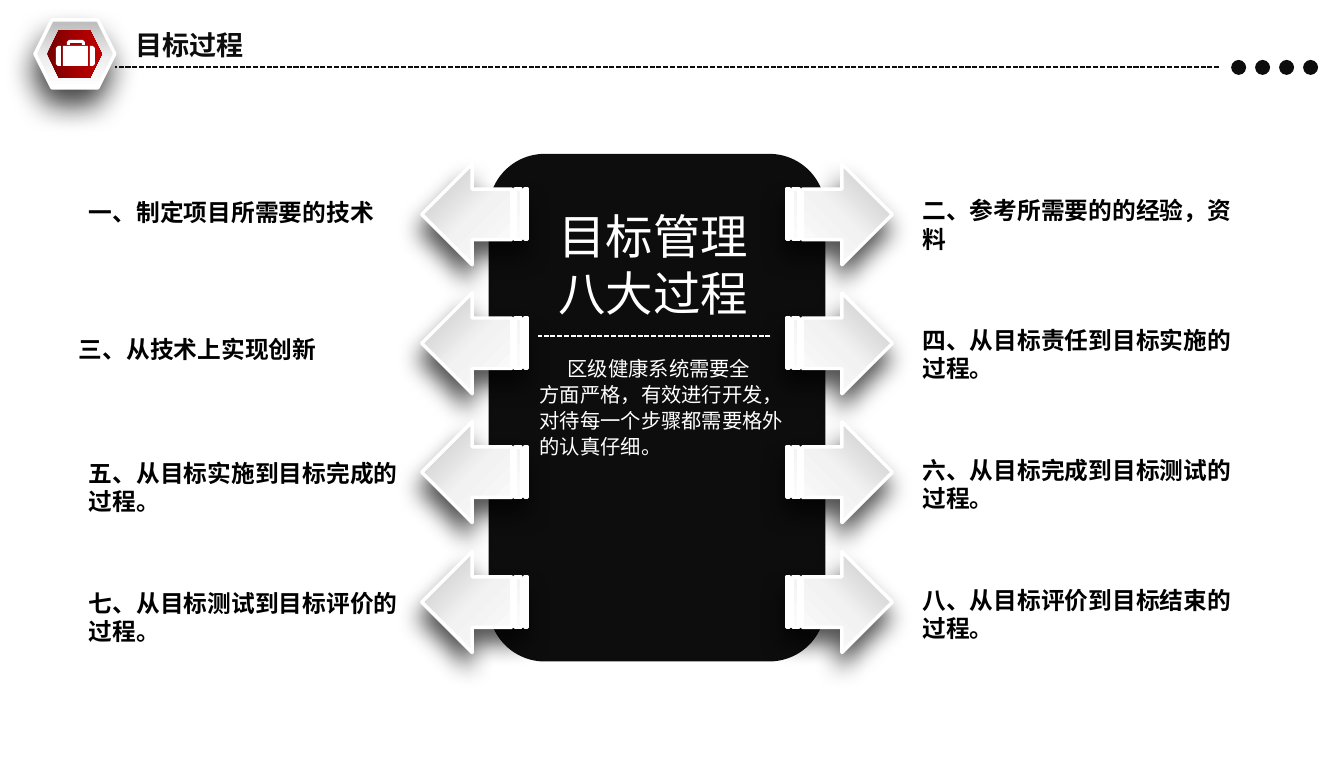
from pptx import Presentation
from pptx.dml.color import RGBColor
from pptx.enum.dml import MSO_LINE
from pptx.enum.shapes import MSO_CONNECTOR, MSO_SHAPE
from pptx.enum.text import MSO_ANCHOR, MSO_AUTO_SIZE, PP_ALIGN
from pptx.oxml import parse_xml
from pptx.oxml.ns import nsdecls, qn
from pptx.util import Cm, Pt
from lxml import etree

STRAIGHT = MSO_CONNECTOR.STRAIGHT
DASH = MSO_LINE.SQUARE_DOT
ARROW = MSO_SHAPE.STRIPED_RIGHT_ARROW
HEXAGON = MSO_SHAPE.HEXAGON
OVAL = MSO_SHAPE.OVAL
ROUNDED = MSO_SHAPE.ROUNDED_RECTANGLE
TOP = MSO_ANCHOR.TOP
LEFT = PP_ALIGN.LEFT
NO_FIT = MSO_AUTO_SIZE.NONE

EMU_PER_PX = 7495
CJK = "Noto Sans CJK SC"
LATIN = "Karla"
COLORS = {"ink": "0D0D0D", "black": "000000", "white": "FFFFFF"}
ARROW_STOPS = [(0, "BFBFBF"), (50, "F2F2F2"), (100, "FFFFFF")]
FRAME_STOPS = [(5, "BFBFBF"), (57, "EFEFEF"), (100, "FFFFFF")]
BADGE_STOPS = [(0, "720000"), (50, "A20000"), (100, "C00000")]

STEPS = [
    ("一、制定项目所需要的技术", 78, 192),
    ("二、参考所需要的的经验，资料", 912, 190),
    ("三、从技术上实现创新", 68, 329),
    ("四、从目标责任到目标实施的过程。", 912, 320),
    ("五、从目标实施到目标完成的过程。", 78, 453),
    ("六、从目标完成到目标测试的过程。", 912, 450),
    ("七、从目标测试到目标评价的过程。", 78, 583),
    ("八、从目标评价到目标结束的过程。", 912, 580),
]
SUMMARY = ["区级健康系统需要全", "方面严格，有效进行开发，",
           "对待每一个步骤都需要格外", "的认真仔细。"]

HANDLE = [(70, 43), (82, 43), (82, 45), (85, 45), (85, 42),
          (83, 40), (69, 40), (67, 42), (67, 45), (70, 45)]
CASE_END = [(56, 48), (58, 46), (61, 46), (61, 66), (58, 66), (56, 64)]
CASE_BODY = [(63, 46), (88, 46), (88, 66), (63, 66)]


def px(length):
    return length * EMU_PER_PX


def rgb(name):
    return RGBColor.from_string(COLORS[name])


def add_preset(page, kind, left, top, width, height, fill=None):
    shape = page.shapes.add_shape(kind, px(left), px(top), px(width), px(height))
    shape.shadow.inherit = False
    shape.line.fill.background()
    if fill:
        shape.fill.solid()
        shape.fill.fore_color.rgb = rgb(fill)
    return shape


def set_gradient(shape, stops, angle):
    marks = "".join(
        f'<a:gs pos="{percent * 1000}"><a:srgbClr val="{color}"/></a:gs>'
        for percent, color in stops)
    gradient = parse_xml(
        f'<a:gradFill {nsdecls("a")} rotWithShape="1"><a:gsLst>{marks}</a:gsLst>'
        f'<a:lin ang="{angle * 60000}" scaled="0"/></a:gradFill>')
    shape._element.spPr.find(qn("a:prstGeom")).addnext(gradient)


def set_outline(shape):
    shape.line.color.rgb = rgb("white")
    shape.line.width = Pt(2)


def set_shadow(shape, color, opacity, blur, distance):
    shape._element.spPr.find(qn("a:effectLst")).append(parse_xml(
        f'<a:outerShdw {nsdecls("a")} blurRad="{Pt(blur)}" dist="{Pt(distance)}" '
        f'dir="6000000" algn="ctr" rotWithShape="0"><a:srgbClr val="{COLORS[color]}">'
        f'<a:alpha val="{opacity * 1000}"/></a:srgbClr></a:outerShdw>'))


def flip(shape, attribute):
    shape._element.spPr.find(qn("a:xfrm")).set(attribute, "1")


def add_dashed_line(page, start, end, y, color):
    line = page.shapes.add_connector(STRAIGHT, px(start), px(y), px(end), px(y))
    line.line.color.rgb = rgb(color)
    line.line.width = Pt(1)
    line.line.dash_style = DASH
    etree.SubElement(line._element.spPr, qn("a:effectLst"))


def write_text(box, lines, size, font, color, bold=False, wrap=True, gap=0):
    frame = box.text_frame
    frame.word_wrap = wrap
    frame.auto_size = NO_FIT
    frame.vertical_anchor = TOP
    frame.margin_left = frame.margin_right = px(11)
    frame.margin_top = frame.margin_bottom = px(6)
    for index, line in enumerate(lines):
        para = frame.add_paragraph() if index else frame.paragraphs[0]
        para.alignment = LEFT
        para.line_spacing = Pt(round(size * 1.2, 1))
        para.space_before = Pt(gap if index else 0)
        span = para.add_run()
        span.text = line
        span.font.size = Pt(size)
        span.font.bold = bold
        span.font.name = font
        span.font.color.rgb = rgb(color)
        east_asian = etree.SubElement(span._r.get_or_add_rPr(), qn("a:ea"))
        east_asian.set("typeface", font)


def add_text(page, left, top, width, height, lines, size, font, color, **style):
    box = page.shapes.add_textbox(px(left), px(top), px(width), px(height))
    write_text(box, lines, size, font, color, **style)
    return box


def add_title(page, text):
    title = page.shapes.title
    title.left, title.top, title.width, title.height = px(125), px(22), px(134), px(45)
    write_text(title, [text], 16, CJK, "ink", bold=True, wrap=False)


def add_briefcase(page):
    other_end = [(151 - x, y) for x, y in CASE_END]
    builder = page.shapes.build_freeform(*HANDLE[0], scale=EMU_PER_PX)
    builder.add_line_segments(HANDLE[1:], close=True)
    for outline in (CASE_END, CASE_BODY, other_end):
        builder.move_to(*outline[0])
        builder.add_line_segments(outline[1:], close=True)
    briefcase = builder.convert_to_shape()
    briefcase.shadow.inherit = False
    briefcase.fill.solid()
    briefcase.fill.fore_color.rgb = rgb("white")
    briefcase.line.fill.background()


def add_badge(page):
    frame = add_preset(page, HEXAGON, 35, 20, 80, 68)
    set_gradient(frame, FRAME_STOPS, 270)
    set_outline(frame)
    set_shadow(frame, "ink", 76, 17, 10)
    flip(frame, "flipV")
    core = add_preset(page, HEXAGON, 47, 30, 55, 48)
    set_gradient(core, BADGE_STOPS, 0)
    flip(core, "flipV")
    add_briefcase(page)


def add_arrow(page, left, top, points_left):
    arrow = add_preset(page, ARROW, left, top, 106, 101)
    set_gradient(arrow, ARROW_STOPS, 135)
    set_outline(arrow)
    set_shadow(arrow, "black", 68, 14, 9)
    if points_left:
        flip(arrow, "flipH")


def add_header(page):
    add_title(page, "目标过程")
    add_dashed_line(page, 1220, 115, 67, "ink")
    for index in range(4):
        add_preset(page, OVAL, 1232 + 24 * index, 60, 15, 15, "ink")
    add_badge(page)


def add_panel(page):
    add_preset(page, ROUNDED, 489, 154, 337, 508, "ink")
    for row in range(4):
        for left, points_left in ((787, False), (422, True)):
            add_arrow(page, left, 164 + 388 * row // 3, points_left)
    add_text(page, 548, 201, 216, 127, ["目标管理", "八大过程"],
             28, CJK, "white", wrap=False)
    add_dashed_line(page, 771, 538, 336, "white")
    summary = add_text(page, 529, 350, 268, 116, SUMMARY,
                       12, CJK, "white", wrap=False, gap=1)
    first = summary.text_frame.paragraphs[0]
    first._p.get_or_add_pPr().set("indent", str(px(28)))


def main():
    deck = Presentation()
    deck.slide_width, deck.slide_height = Cm(28), Cm(16)
    page = deck.slides.add_slide(deck.slide_layouts[5])
    add_header(page)
    add_panel(page)
    for text, left, top in STEPS:
        add_text(page, left, top, 340, 70, [text], 14, LATIN, "black", bold=True)
    deck.save("out.pptx")


if __name__ == "__main__":
    main()
